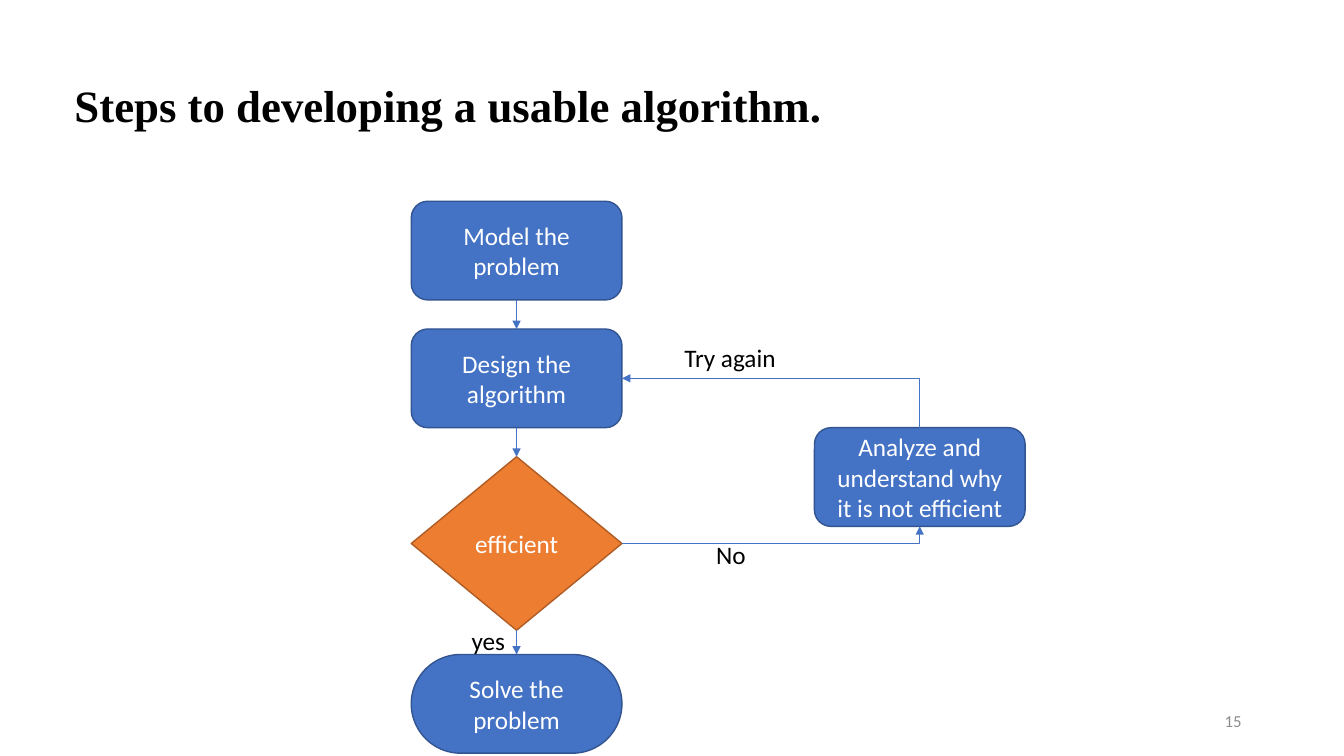
"""Build the slide showing the steps to developing a usable algorithm."""
from lxml import etree
from pptx import Presentation
from pptx import util as u
from pptx.dml.color import RGBColor
from pptx.enum import shapes, text
from pptx.oxml.ns import qn

TITLE = "Steps to developing a usable algorithm."
NUMBER = "15"
COLORS = {"blue": "4472C4", "blue_edge": "325491", "orange": "ED7D31",
          "orange_edge": "AF5C24", "white": "FFFFFF", "black": "000000", "gray": "8C8C8C"}
BOX_W, BOX_H, DIAMOND_H = 150.5, 70.5, 124
COLUMN_X, COLUMN_Y, ANALYZE_X = 293.75, 143.75, 581.75
ROUND, DIAMOND = shapes.MSO_SHAPE.ROUNDED_RECTANGLE, shapes.MSO_SHAPE.DIAMOND
TOP, BOTTOM, RIGHT = 0, 2, 3

# key, words, preset, corner, height, gap below, colour
STEPS = [
    ("model", "Model the problem", ROUND, None, BOX_H, 20.75, "blue"),
    ("design", "Design the algorithm", ROUND, None, BOX_H, 20.75, "blue"),
    ("check", "efficient", DIAMOND, None, DIAMOND_H, 17.25, "orange"),
    ("solve", "Solve the problem", ROUND, 0.5, BOX_H, 0, "blue"),
]
ANALYZE = "Analyze and understand why it is not efficient"
LINKS = [
    ("model", BOTTOM, "design", TOP, "tailEnd"),
    ("design", BOTTOM, "check", TOP, "tailEnd"),
    ("check", BOTTOM, "solve", TOP, "tailEnd"),
    ("check", RIGHT, "analyze", BOTTOM, "tailEnd"),
    ("design", RIGHT, "analyze", TOP, "headEnd"),
]
LABELS = [("yes", 329.75, 442.75, 39), ("No", 504.5, 381.75, 36), ("Try again", 481.75, 241.25, 80.5)]


def rgb(name):
    return RGBColor.from_string(COLORS[name])


def write(tf, words, size, color, align, font="Calibri", bold=False):
    p = tf.paragraphs[0]
    p.alignment = align
    r = p.add_run()
    r.text = words
    r.font.name, r.font.size, r.font.bold = font, u.Pt(size), bold
    r.font.color.rgb = rgb(color)
    return p


def add_step(s, words, preset, corner, x, y, h, color):
    sp = s.shapes.add_shape(preset, u.Pt(x), u.Pt(y), u.Pt(BOX_W), u.Pt(h))
    sp.shadow.inherit = False
    if corner is not None:
        sp.adjustments[0] = corner
    sp.fill.solid()
    sp.fill.fore_color.rgb = rgb(color)
    sp.line.color.rgb = rgb(color + "_edge")
    sp.line.width = u.Pt(1)
    tf = sp.text_frame
    tf.word_wrap = True
    tf.vertical_anchor = text.MSO_ANCHOR.MIDDLE
    write(tf, words, 18, "white", text.PP_ALIGN.CENTER)
    return sp


def add_link(s, start, start_site, end, end_site, arrow):
    bent = start_site == RIGHT
    kind = shapes.MSO_CONNECTOR.ELBOW if bent else shapes.MSO_CONNECTOR.STRAIGHT
    c = s.shapes.add_connector(kind, 0, 0, 0, 0)
    c.begin_connect(start, start_site)
    c.end_connect(end, end_site)
    c.line.color.rgb = rgb("blue")
    c.line.width = u.Pt(0.5)
    spPr = c._element.spPr
    if bent:
        spPr.find(qn("a:prstGeom")).set("prst", "bentConnector2")
    etree.SubElement(spPr.find(qn("a:ln")), qn("a:" + arrow), type="triangle")
    etree.SubElement(spPr, qn("a:effectLst"))


def add_text(s, words, x, y, w, size, color, align, wrap, anchor):
    tf = s.shapes.add_textbox(u.Pt(x), u.Pt(y), u.Pt(w), u.Pt(29)).text_frame
    tf.word_wrap = wrap
    tf.vertical_anchor = anchor
    write(tf, words, size, color, align)


def main():
    prs = Presentation()
    prs.slide_width, prs.slide_height = u.Pt(960), u.Pt(540)
    s = prs.slides.add_slide(prs.slide_layouts[5])

    title = s.shapes.title
    title.left, title.top, title.width, title.height = u.Pt(46), u.Pt(25), u.Pt(828), u.Pt(104.5)
    title.text_frame.vertical_anchor = text.MSO_ANCHOR.MIDDLE
    p = write(title.text_frame, TITLE, 32, "black", text.PP_ALIGN.LEFT, "Times New Roman", True)
    p.line_spacing = 0.9

    steps, y = {}, COLUMN_Y
    for key, words, preset, corner, h, gap, color in STEPS:
        steps[key] = add_step(s, words, preset, corner, COLUMN_X, y, h, color)
        if key == "design":
            steps["analyze"] = add_step(s, ANALYZE, ROUND, None, ANALYZE_X, y + h, BOX_H, "blue")
        y += h + gap

    for start, start_site, end, end_site, arrow in LINKS:
        add_link(s, steps[start], start_site, steps[end], end_site, arrow)
    for words, x, top, w in LABELS:
        add_text(s, words, x, top, w, 18, "black", text.PP_ALIGN.LEFT, False, text.MSO_ANCHOR.TOP)
    add_text(s, NUMBER, 678, 500.5, 216, 12, "gray", text.PP_ALIGN.RIGHT, True, text.MSO_ANCHOR.MIDDLE)

    prs.save("out.pptx")


if __name__ == "__main__":
    main()
